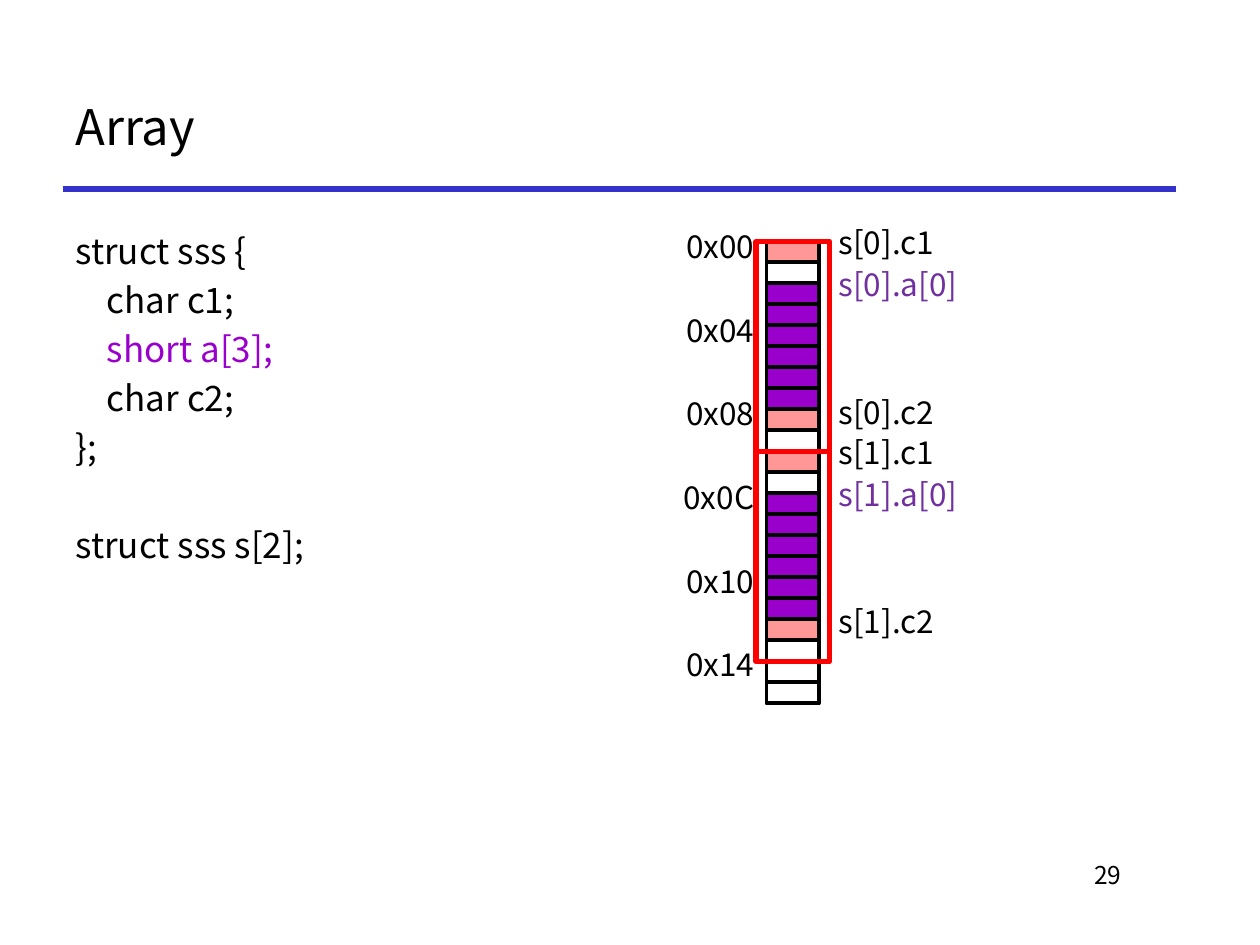
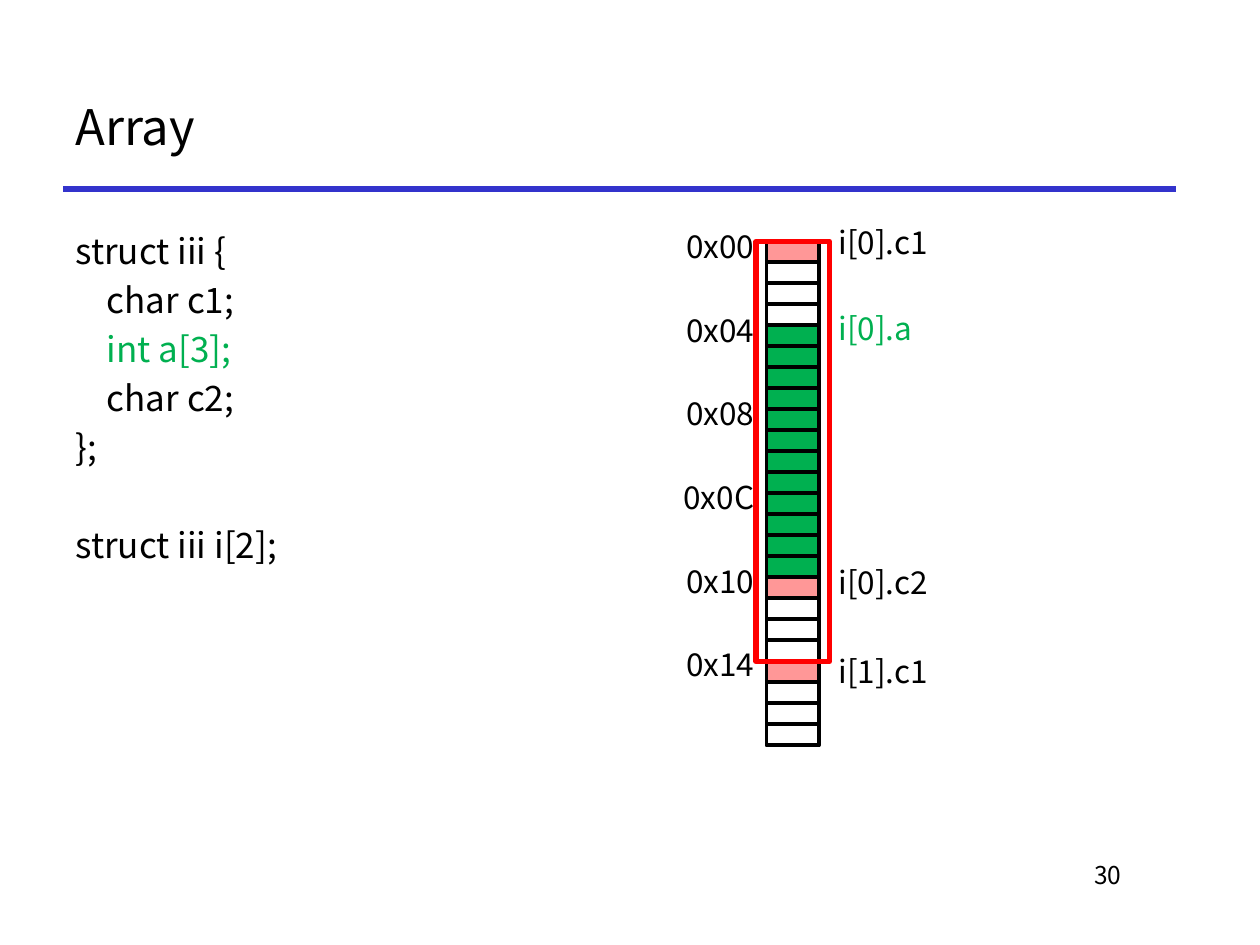
from dataclasses import dataclass

from lxml import etree
from pptx import Presentation
from pptx.dml.color import RGBColor
from pptx.enum.shapes import MSO_CONNECTOR, MSO_SHAPE
from pptx.enum.text import MSO_ANCHOR, PP_ALIGN
from pptx.oxml.ns import qn
from pptx.util import Pt

RECTANGLE = MSO_SHAPE.RECTANGLE
STRAIGHT = MSO_CONNECTOR.STRAIGHT
TOP, MIDDLE = MSO_ANCHOR.TOP, MSO_ANCHOR.MIDDLE
LEFT, RIGHT = PP_ALIGN.LEFT, PP_ALIGN.RIGHT

FONT = "Noto Sans CJK KR"
BLACK, RED, RULE_BLUE = "000000", "FF0000", "3333CC"
CHAR_PINK, SHORT_PURPLE, INT_GREEN = "FF9797", "9900CC", "00B050"
LABEL_PURPLE = "7030A0"

BYTE_LEFT, BYTE_WIDTH, BYTE_HEIGHT = 438, 30, 12
MEMORY_TOP = 138
FRAME_LEFT, FRAME_WIDTH = 432, 42
ADDRESS_TOP, ADDRESS_STEP = 124.6, 47.8
ADDRESSES = ("0x00", "0x04", "0x08", "0x0C", "0x10", "0x14")


@dataclass(frozen=True)
class TextLine:
    text: str
    color: str = BLACK
    space_before: float = 4


@dataclass(frozen=True)
class MemberLabel:
    text: str
    top: float
    color: str = BLACK


@dataclass(frozen=True)
class ArraySlide:
    """Memory holds one letter a byte: c is a char, a an array byte, - padding."""
    number: int
    code: tuple[TextLine, ...]
    memory: str
    array_color: str
    element_size: int
    framed_elements: int
    labels: tuple[MemberLabel, ...]


def struct_code(tag: str, array_member: str, array_color: str,
                variable: str) -> tuple[TextLine, ...]:
    return (
        TextLine(f"struct {tag} {{"),
        TextLine("    char c1;"),
        TextLine(f"    {array_member};", array_color),
        TextLine("    char c2;"),
        TextLine("};"),
        TextLine(f"struct {tag} {variable}[2];", space_before=32),
    )


SLIDES = (
    ArraySlide(
        29, struct_code("sss", "short a[3]", SHORT_PURPLE, "s"),
        "c-aaaaaac-" * 2 + "--", SHORT_PURPLE, 10, 2,
        (
            MemberLabel("s[0].c1", 122.4),
            MemberLabel("s[0].a[0]", 146.2, LABEL_PURPLE),
            MemberLabel("s[0].c2", 219.6),
            MemberLabel("s[1].c1", 242),
            MemberLabel("s[1].a[0]", 266.4, LABEL_PURPLE),
            MemberLabel("s[1].c2", 339),
        ),
    ),
    ArraySlide(
        30, struct_code("iii", "int a[3]", INT_GREEN, "i"),
        "c---" + "a" * 12 + "c---" * 2, INT_GREEN, 20, 1,
        (
            MemberLabel("i[0].c1", 122.4),
            MemberLabel("i[0].a", 171.4, INT_GREEN),
            MemberLabel("i[0].c2", 316.8),
            MemberLabel("i[1].c1", 367.2),
        ),
    ),
)


def rgb(color: str) -> RGBColor:
    return RGBColor.from_string(color)


def add_text(slide, left: float, top: float, width: float, height: float,
             lines: tuple[TextLine, ...], size: float, align=LEFT, anchor=TOP,
             inset: float = 7.2) -> None:
    """Top-anchored text is set tight, at 1.2 times its size."""
    box = slide.shapes.add_textbox(Pt(left), Pt(top), Pt(width), Pt(height))
    frame = box.text_frame
    frame.word_wrap = True
    frame.vertical_anchor = anchor
    frame.margin_left = Pt(inset)
    if anchor == TOP:
        frame.margin_top = Pt(5.2)
    for index, line in enumerate(lines):
        paragraph = frame.add_paragraph() if index else frame.paragraphs[0]
        paragraph.alignment = align
        if index:
            paragraph.space_before = Pt(line.space_before)
        if anchor == TOP:
            paragraph.line_spacing = Pt(1.2 * size)
        run = paragraph.add_run()
        run.text = line.text
        run.font.name = FONT
        run.font.size = Pt(size)
        run.font.color.rgb = rgb(line.color)


def add_box(slide, left: float, top: float, width: float, height: float,
            outline: str, weight: float, fill: str | None = None) -> None:
    box = slide.shapes.add_shape(RECTANGLE, Pt(left), Pt(top), Pt(width), Pt(height))
    box.shadow.inherit = False
    if fill:
        box.fill.solid()
        box.fill.fore_color.rgb = rgb(fill)
    else:
        box.fill.background()
    box.line.color.rgb = rgb(outline)
    box.line.width = Pt(weight)


def add_title_and_number(slide, number: int) -> None:
    rule = slide.shapes.add_connector(STRAIGHT, Pt(36), Pt(108), Pt(672), Pt(108))
    rule.line.color.rgb = rgb(RULE_BLUE)
    rule.line.width = Pt(3)
    etree.SubElement(rule._element.spPr, qn("a:effectLst"))
    add_text(slide, 36, 36, 636, 72, (TextLine("Array"),), 28, anchor=MIDDLE)
    add_text(slide, 546, 486, 102, 36, (TextLine(str(number)),), 14, align=RIGHT)


def add_memory(slide, content: ArraySlide) -> None:
    fills = {"c": CHAR_PINK, "a": content.array_color}
    # Padding goes first so that its outlines stay beneath the members.
    for index, kind in sorted(enumerate(content.memory), key=lambda byte: byte[1] != "-"):
        add_box(slide, BYTE_LEFT, MEMORY_TOP + index * BYTE_HEIGHT,
                BYTE_WIDTH, BYTE_HEIGHT, BLACK, 2.25, fills.get(kind))
    for index, address in enumerate(ADDRESSES):
        add_text(slide, 378, ADDRESS_TOP + index * ADDRESS_STEP, 60, 28.8,
                 (TextLine(address),), 18, align=RIGHT)
    for label in content.labels:
        add_text(slide, 468, label.top, 138, 28.8,
                 (TextLine(label.text, label.color),), 18, inset=11.2)
    element_height = content.element_size * BYTE_HEIGHT
    for index in range(content.framed_elements):
        add_box(slide, FRAME_LEFT, MEMORY_TOP + index * element_height,
                FRAME_WIDTH, element_height, RED, 3)


def main() -> None:
    deck = Presentation()
    deck.slide_width, deck.slide_height = Pt(720), Pt(540)
    blank = deck.slide_layouts[6]
    for content in SLIDES:
        slide = deck.slides.add_slide(blank)
        add_title_and_number(slide, content.number)
        add_text(slide, 36, 126, 240, 306, content.code, 20)
        add_memory(slide, content)
    deck.save("out.pptx")


if __name__ == "__main__":
    main()
